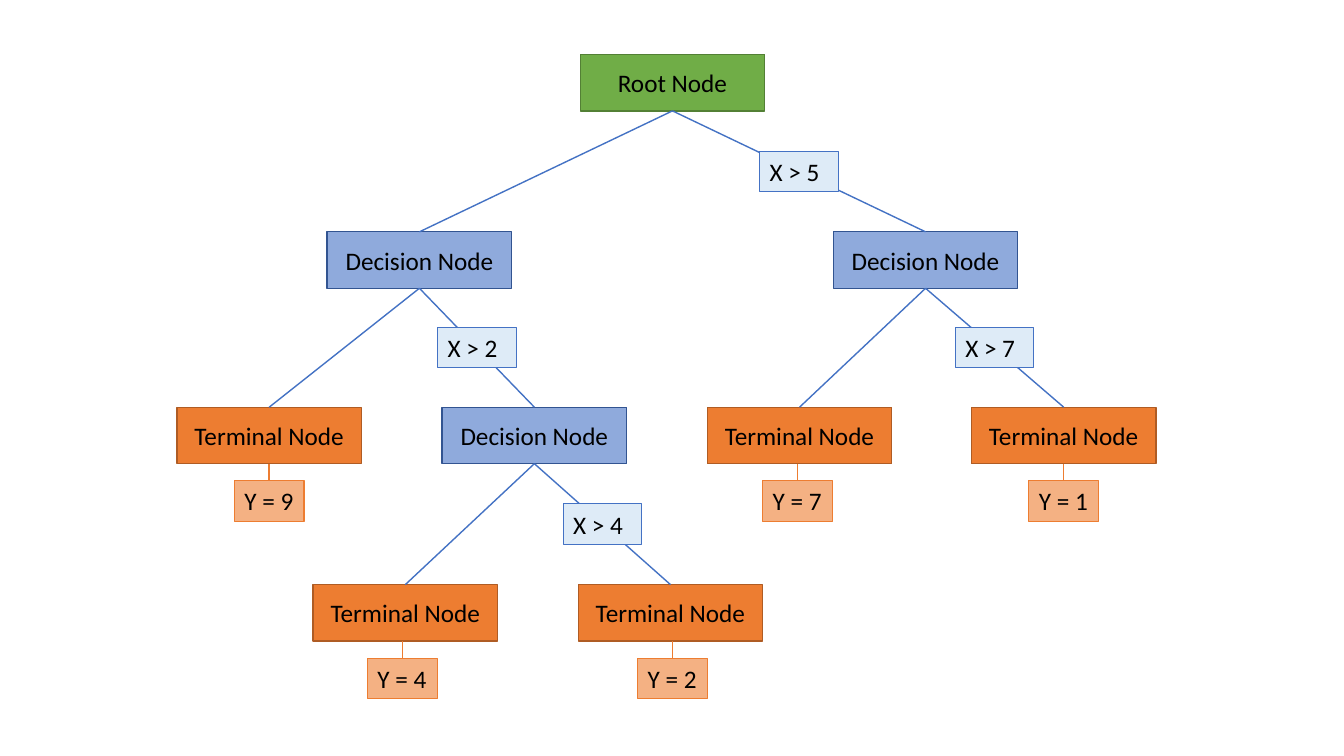
from dataclasses import dataclass

from lxml.etree import SubElement
from pptx import Presentation
from pptx.dml.color import RGBColor
from pptx.enum.shapes import MSO_CONNECTOR, MSO_SHAPE
from pptx.enum.text import MSO_ANCHOR, PP_ALIGN
from pptx.oxml.ns import qn
from pptx.shapes.autoshape import Shape
from pptx.shapes.connector import Connector
from pptx.slide import Slide
from pptx.util import Inches, Pt


@dataclass(frozen=True)
class Style:
    fill: str
    line: str
    weight: float


@dataclass(frozen=True)
class Theme:
    font: str = "Calibri"
    text: str = "000000"
    size: int = 18
    branch: str = "4472C4"
    stem: str = "ED7D31"
    line_weight: float = 1
    root: Style = Style("70AD47", "538035", 1)
    decision: Style = Style("8FAADC", "325491", 1)
    terminal: Style = Style("ED7D31", "AF5C24", 1)
    split: Style = Style("DEEBF7", "4472C4", 0.75)
    outcome: Style = Style("F4B183", "ED7D31", 0.75)


@dataclass(frozen=True)
class Node:
    text: str
    style: Style
    center: float
    level: int
    outcome: str = ""
    outcome_shift: float = 0


@dataclass(frozen=True)
class Branch:
    parent: str
    child: str
    split: str = ""


THEME = Theme()
LEVEL_TOPS = (0.54, 2.3, 4.04, 5.8)
NODE_WIDTH, NODE_HEIGHT = 1.83, 0.56
SPLIT_WIDTH, OUTCOME_WIDTH, LABEL_HEIGHT = 0.78, 0.69, 0.4
STEM_LENGTH = 0.17
BOTTOM_SITE, TOP_SITE = 2, 0


def decision(center: float, level: int) -> Node:
    return Node("Decision Node", THEME.decision, center, level)


def terminal(center: float, level: int, outcome: str, shift: float = 0) -> Node:
    return Node("Terminal Node", THEME.terminal, center, level, outcome, shift)


NODES = {
    "root": Node("Root Node", THEME.root, 6.67, 0),
    "left": decision(4.16, 1),
    "right": decision(9.18, 1),
    "nine": terminal(2.67, 2, "Y = 9"),
    "inner": decision(5.3, 2),
    "seven": terminal(7.93, 2, "Y = 7", -0.02),
    "one": terminal(10.55, 2, "Y = 1"),
    "four": terminal(4.02, 3, "Y = 4", -0.03),
    "two": terminal(6.65, 3, "Y = 2", 0.02),
}
BRANCHES = (
    Branch("root", "left"),
    Branch("root", "right", "X > 5"),
    Branch("left", "inner", "X > 2"),
    Branch("left", "nine"),
    Branch("inner", "four"),
    Branch("inner", "two", "X > 4"),
    Branch("right", "seven"),
    Branch("right", "one", "X > 7"),
)


def paint(box: Shape, style: Style, text: str) -> None:
    box.fill.solid()
    box.fill.fore_color.rgb = RGBColor.from_string(style.fill)
    box.line.color.rgb = RGBColor.from_string(style.line)
    box.line.width = Pt(style.weight)
    box.text_frame.word_wrap = True
    span = box.text_frame.paragraphs[0].add_run()
    span.text = text
    span.font.name = THEME.font
    span.font.size = Pt(THEME.size)
    span.font.color.rgb = RGBColor.from_string(THEME.text)


def add_node(page: Slide, node: Node) -> Shape:
    box = page.shapes.add_shape(
        MSO_SHAPE.FLOWCHART_PROCESS,
        Inches(node.center - NODE_WIDTH / 2), Inches(LEVEL_TOPS[node.level]),
        Inches(NODE_WIDTH), Inches(NODE_HEIGHT),
    )
    box.shadow.inherit = False
    paint(box, node.style, node.text)
    box.text_frame.vertical_anchor = MSO_ANCHOR.MIDDLE
    box.text_frame.paragraphs[0].alignment = PP_ALIGN.CENTER
    return box


def add_label(page: Slide, text: str, style: Style, center: float, top: float, width: float) -> None:
    box = page.shapes.add_textbox(
        Inches(center - width / 2), Inches(top), Inches(width), Inches(LABEL_HEIGHT)
    )
    paint(box, style, text)
    box.text_frame.margin_right = Inches(0.05)


def add_line(page: Slide, start: tuple[float, float], end: tuple[float, float], color: str) -> Connector:
    line = page.shapes.add_connector(
        MSO_CONNECTOR.STRAIGHT, *(Inches(value) for value in (*start, *end))
    )
    line.line.color.rgb = RGBColor.from_string(color)
    line.line.width = Pt(THEME.line_weight)
    SubElement(line._element.spPr, qn("a:effectLst"))
    return line


def bottom(node: Node) -> tuple[float, float]:
    return node.center, LEVEL_TOPS[node.level] + NODE_HEIGHT


def top(node: Node) -> tuple[float, float]:
    return node.center, LEVEL_TOPS[node.level]


def add_branch(page: Slide, branch: Branch, boxes: dict[str, Shape]) -> None:
    line = add_line(page, bottom(NODES[branch.parent]), top(NODES[branch.child]), THEME.branch)
    line.begin_connect(boxes[branch.parent], BOTTOM_SITE)
    line.end_connect(boxes[branch.child], TOP_SITE)


def add_split(page: Slide, branch: Branch) -> None:
    start, end = bottom(NODES[branch.parent]), top(NODES[branch.child])
    center, middle = ((first + second) / 2 for first, second in zip(start, end))
    add_label(page, branch.split, THEME.split, center, middle - LABEL_HEIGHT / 2, SPLIT_WIDTH)


def add_outcome(page: Slide, node: Node) -> None:
    center, stem_top = node.center + node.outcome_shift, bottom(node)[1]
    stem_end = stem_top + STEM_LENGTH
    add_line(page, (center, stem_top), (center, stem_end), THEME.stem)
    add_label(page, node.outcome, THEME.outcome, center, stem_end, OUTCOME_WIDTH)


def main() -> None:
    deck = Presentation()
    deck.slide_width, deck.slide_height = Inches(13.33), Inches(7.5)
    page = deck.slides.add_slide(deck.slide_layouts[6])
    boxes = {name: add_node(page, node) for name, node in NODES.items()}
    for branch in BRANCHES:
        add_branch(page, branch, boxes)
    for branch in BRANCHES:
        if branch.split:
            add_split(page, branch)
    for node in NODES.values():
        if node.outcome:
            add_outcome(page, node)
    deck.save("out.pptx")


if __name__ == "__main__":
    main()
